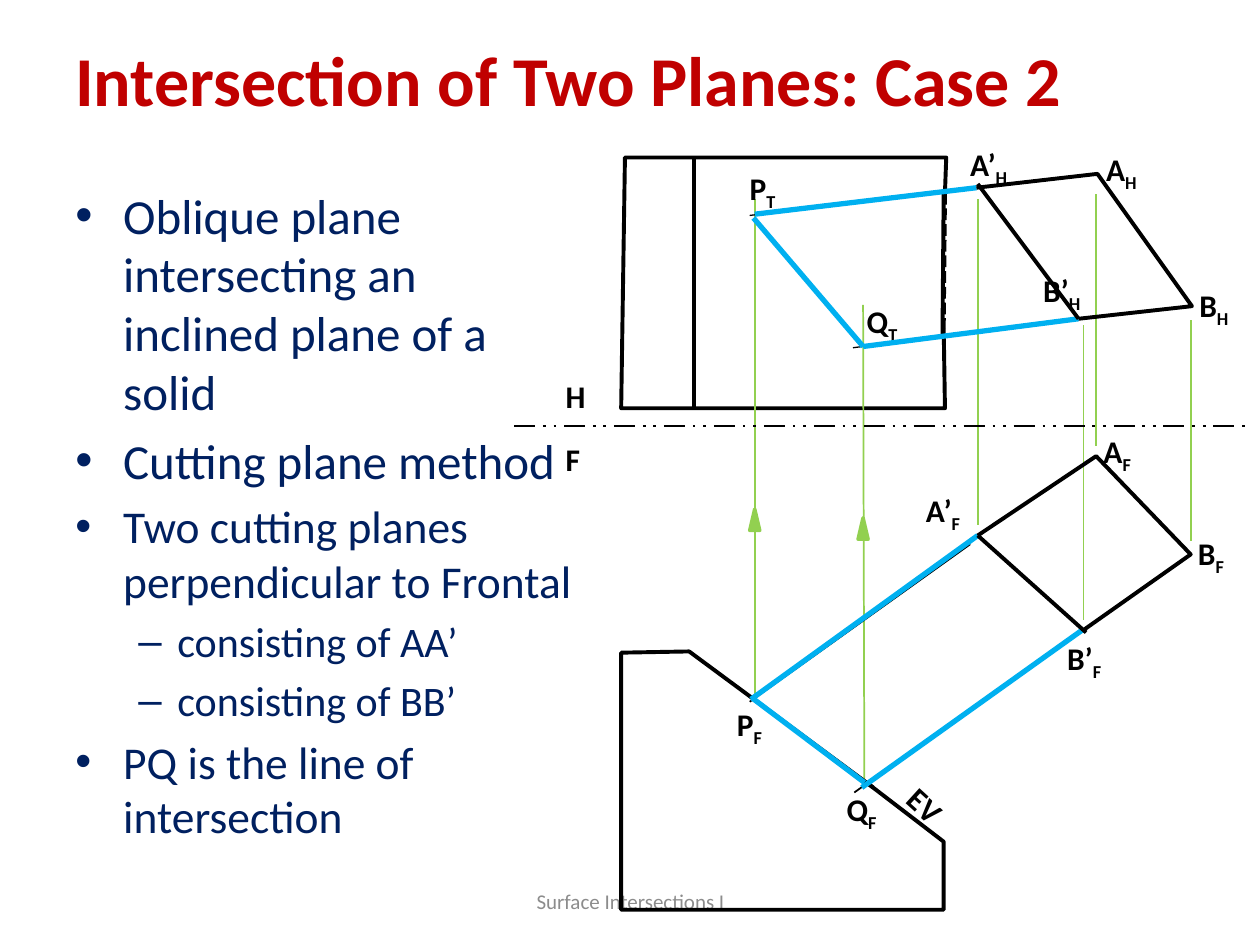
from dataclasses import dataclass

from lxml import etree
from pptx import Presentation
from pptx.dml.color import RGBColor
from pptx.enum.dml import MSO_LINE
from pptx.enum.shapes import MSO_CONNECTOR, MSO_SHAPE
from pptx.enum.text import MSO_ANCHOR, MSO_AUTO_SIZE, PP_ALIGN
from pptx.oxml.ns import qn
from pptx.util import Inches, Pt

# The slide is a grid of 10 columns and 7.5 rows.
COLUMNS, ROWS = 10, 7.5
CELL = Inches(1)

STRAIGHT = MSO_CONNECTOR.STRAIGHT
TRIANGLE = MSO_SHAPE.ISOSCELES_TRIANGLE
MIDDLE = MSO_ANCHOR.MIDDLE
CENTER = PP_ALIGN.CENTER
GROW = MSO_AUTO_SIZE.SHAPE_TO_FIT_TEXT
SHORT_DASH = MSO_LINE.SQUARE_DOT
FOLD_DASH = MSO_LINE.DASH_DOT_DOT

BLACK = RGBColor(0x00, 0x00, 0x00)
RED = RGBColor(0xC0, 0x00, 0x00)
NAVY = RGBColor(0x00, 0x20, 0x60)
GRAY = RGBColor(0x8C, 0x8C, 0x8C)
GREEN = RGBColor(0x92, 0xD0, 0x50)
BLUE = RGBColor(0x00, 0xB0, 0xF0)
FONT = "Calibri"
LABEL_HEIGHT = 0.4
EDGE, CUT = 2.25, 3

Point = tuple[float, float]


@dataclass(frozen=True)
class Segment:
    start: Point
    end: Point
    color: RGBColor = BLACK
    weight: float = EDGE
    dash: MSO_LINE | None = None


@dataclass(frozen=True)
class Label:
    column: float
    row: float
    width: float
    base: str
    view: str = ""
    rotation: float = 0


@dataclass(frozen=True)
class Bullet:
    text: str
    size: int
    level: int = 0


BULLET_STYLES = (("•", 0.38, 0.38), ("–", 0.81, 0.31))  # mark, margin, hanging
BULLETS = (
    Bullet("Oblique plane intersecting an inclined plane of a solid", 28),
    Bullet("Cutting plane method", 28),
    Bullet("Two cutting planes perpendicular to Frontal", 26),
    Bullet("consisting of AA’", 24, 1),
    Bullet("consisting of BB’", 24, 1),
    Bullet("PQ is the line of intersection", 26),
)

SOLID_TOP = ((7.49, 2.61), (7.5, 3.24), (4.93, 3.24), (4.96, 1.25), (7.51, 1.25), (7.5, 1.53))
SOLID_FRONT = ((5.97, 5.54), (5.47, 5.17), (4.93, 5.18), (4.93, 7.22),
               (7.49, 7.22), (7.49, 6.68), (6.89, 6.22))
PLANE_FRONT = ((7.76, 4.25), (8.7, 3.62), (9.45, 4.4), (8.6, 5))
PLANE_TOP = ((7.75, 1.49), (8.71, 1.38), (9.46, 2.43), (8.56, 2.53))

SOLID_EDGES = (
    Segment((5.51, 1.25), (5.51, 3.25)),
    Segment((7.5, 1.53), (7.49, 2.61), dash=SHORT_DASH),
)
PROJECTORS = tuple(Segment(start, end, GREEN, 1) for start, end in (
    ((5.99, 5.54), (5.99, 1.58)),
    ((6.86, 6.21), (6.85, 2.42)),
    ((8.7, 1.54), (8.7, 3.54)),
    ((9.45, 2.54), (9.45, 4.29)),
    ((7.76, 1.58), (7.76, 4.17)),
    ((8.6, 2.58), (8.6, 4.92)),
))
ARROW_MARKS = ((5.95, 4.04), (6.81, 4.11))
CUTTING_TRACES = (
    Segment((7.75, 1.49), (5.95, 1.71), weight=0.75),
    Segment((8.56, 2.53), (6.77, 2.76), weight=0.75),
    Segment((7.7, 4.32), (5.95, 5.57), weight=1),
    Segment((8.53, 5.04), (6.78, 6.29), weight=1),
)
FOLD_AND_FACE = (
    Segment((7.49, 1.51), (7.48, 2.67)),
    Segment((5.97, 5.54), (6.93, 6.25)),
    Segment((4.08, 3.38), (9.92, 3.38), weight=1.5, dash=FOLD_DASH),
)
INTERSECTION = tuple(Segment(start, end, BLUE, CUT) for start, end in (
    ((5.97, 5.54), (6.86, 6.21)),
    ((5.98, 1.73), (6.85, 2.75)),
    ((7.75, 1.49), (5.99, 1.7)),
    ((8.56, 2.53), (6.85, 2.75)),
    ((7.76, 4.25), (5.96, 5.55)),
    ((8.59, 5), (6.84, 6.25)),
))
PLANE_EDGES = (Segment((7.76, 4.25), (8.62, 5.02)), Segment((7.76, 1.46), (8.56, 2.53)))

LABELS = (
    Label(5.85, 1.29, 0.42, "P", "T"), Label(6.78, 2.35, 0.45, "Q", "T"),
    Label(7.6, 1.1, 0.51, "A’", "H"), Label(8.68, 1.14, 0.46, "A", "H"),
    Label(9.42, 2.22, 0.46, "B", "H"), Label(8.18, 2.1, 0.52, "B’", "H"),
    Label(7.25, 3.85, 0.48, "A’", "F"), Label(8.66, 3.38, 0.43, "A", "F"),
    Label(9.41, 4.19, 0.43, "B", "F"), Label(8.37, 5.02, 0.49, "B’", "F"),
    Label(7.11, 6.19, 0.47, "EV", rotation=42.4),
    Label(5.75, 5.55, 0.41, "P", "F"), Label(6.62, 6.22, 0.45, "Q", "F"),
    Label(4.39, 2.94, 0.36, "H"), Label(4.39, 3.44, 0.32, "F"),
)


def grid(*lengths: float) -> list[int]:
    return [round(length * CELL) for length in lengths]


def style_font(font, size: float, color: RGBColor, bold: bool = False) -> None:
    font.name, font.size, font.bold = FONT, Pt(size), bold
    font.color.rgb = color


def draw_segments(shapes, segments: tuple[Segment, ...]) -> None:
    for segment in segments:
        connector = shapes.add_connector(STRAIGHT, *grid(*segment.start, *segment.end))
        connector.line.color.rgb = segment.color
        connector.line.width = Pt(segment.weight)
        if segment.dash is not None:
            connector.line.dash_style = segment.dash
        etree.SubElement(connector._element.spPr, qn("a:effectLst"))


def draw_outline(shapes, points: tuple[Point, ...]) -> None:
    start, *others = [tuple(grid(*point)) for point in points]
    builder = shapes.build_freeform(*start, scale=1.0)
    builder.add_line_segments(others, close=False)
    outline = builder.convert_to_shape()
    outline.shadow.inherit = False
    outline.fill.background()
    outline.line.color.rgb = BLACK
    outline.line.width = Pt(EDGE)


def draw_arrow_mark(shapes, corner: Point) -> None:
    mark = shapes.add_shape(TRIANGLE, *grid(*corner, 0.08, 0.17))
    mark.shadow.inherit = False
    mark.fill.solid()
    mark.fill.fore_color.rgb = mark.line.color.rgb = GREEN
    mark.line.width = Pt(2)


def add_label(shapes, label: Label) -> None:
    box = shapes.add_textbox(*grid(label.column, label.row, label.width, LABEL_HEIGHT))
    box.rotation = label.rotation
    box.text_frame.word_wrap = False
    box.text_frame.auto_size = GROW
    paragraph = box.text_frame.paragraphs[0]
    for text in filter(None, (label.base, label.view)):
        run = paragraph.add_run()
        run.text = text
        style_font(run.font, 18, BLACK, bold=True)
    if label.view:
        run.font._element.set("baseline", "-25000")


def add_line_of_text(shapes, area: tuple[float, ...], text: str, size: float,
                     color: RGBColor, bold: bool = False, align=None) -> None:
    frame = shapes.add_textbox(*grid(*area)).text_frame
    frame.word_wrap = True
    frame.vertical_anchor = MIDDLE
    frame.text = text
    frame.paragraphs[0].alignment = align
    style_font(frame.paragraphs[0].runs[0].font, size, color, bold)


def add_bullets(shapes) -> None:
    frame = shapes.add_textbox(*grid(0.5, 1.42, 4.16, 5.5)).text_frame
    frame.word_wrap = True
    frame.text = "\n".join(bullet.text for bullet in BULLETS)
    for index, (paragraph, bullet) in enumerate(zip(frame.paragraphs, BULLETS)):
        mark, margin, hanging = BULLET_STYLES[bullet.level]
        paragraph.level = bullet.level
        paragraph.space_before = Pt(0.2 * bullet.size if index else 0)
        properties = paragraph._p.get_or_add_pPr()
        properties.set("marL", str(Inches(margin)))
        properties.set("indent", str(-Inches(hanging)))
        etree.SubElement(properties, qn("a:buFont"), typeface="Arial")
        etree.SubElement(properties, qn("a:buChar"), char=mark)
        style_font(paragraph.runs[0].font, bullet.size, NAVY)


def main() -> None:
    deck = Presentation()
    deck.slide_width, deck.slide_height = grid(COLUMNS, ROWS)
    shapes = deck.slides.add_slide(deck.slide_layouts[6]).shapes

    add_bullets(shapes)
    add_line_of_text(shapes, (3.42, 6.95, 3.17, 0.4), "Surface Intersections I", 12, GRAY, align=CENTER)
    for outline in (SOLID_TOP, SOLID_FRONT):
        draw_outline(shapes, outline)
    draw_segments(shapes, SOLID_EDGES + PROJECTORS + CUTTING_TRACES)
    for corner in ARROW_MARKS:
        draw_arrow_mark(shapes, corner)
    for label in LABELS:
        add_label(shapes, label)
    draw_segments(shapes, FOLD_AND_FACE + INTERSECTION)
    for outline in (PLANE_FRONT, PLANE_TOP):
        draw_outline(shapes, outline)
    draw_segments(shapes, PLANE_EDGES)
    add_line_of_text(shapes, (0.5, 0, 9, 1.25), "Intersection of Two Planes: Case 2", 40, RED, bold=True)
    deck.save("out.pptx")


if __name__ == "__main__":
    main()
